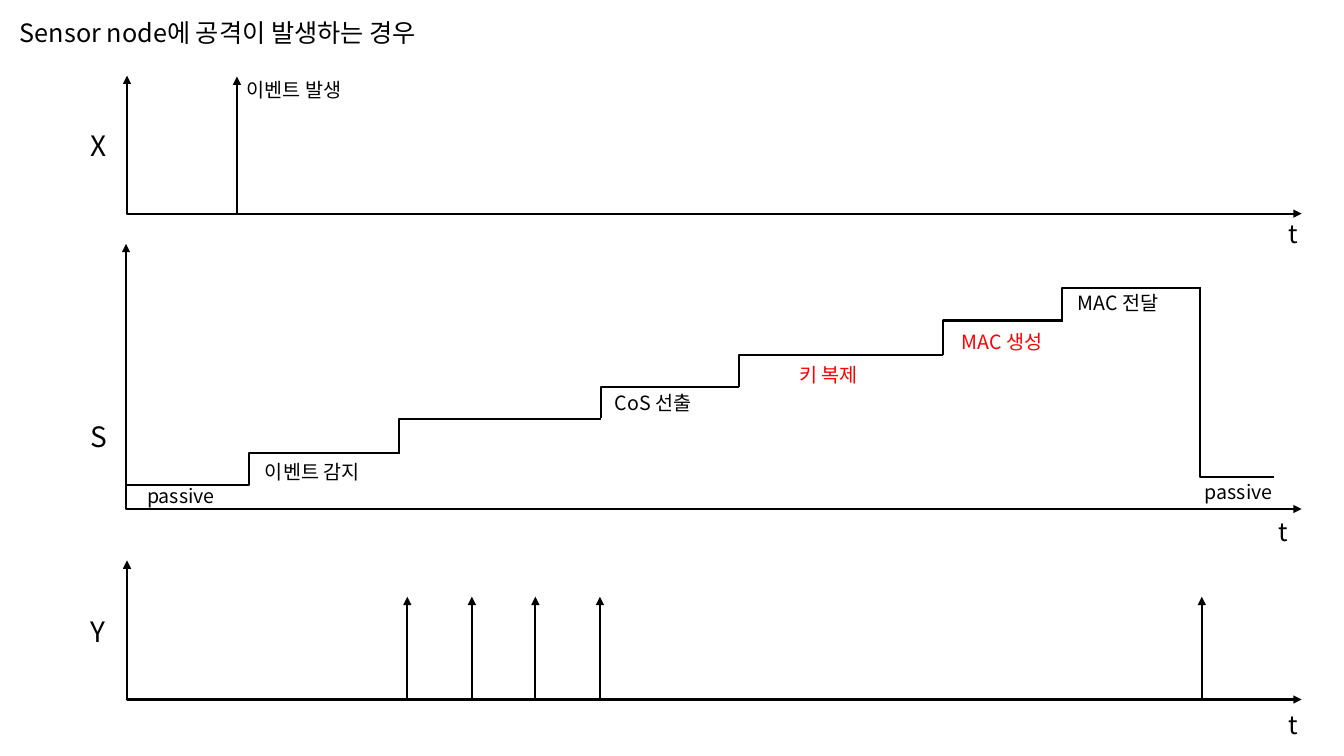
from dataclasses import dataclass

from lxml import etree
from pptx import Presentation
from pptx.dml.color import RGBColor
from pptx.enum.shapes import MSO_CONNECTOR
from pptx.enum.text import MSO_AUTO_SIZE
from pptx.oxml.ns import qn
from pptx.util import Emu, Pt

ELBOW = MSO_CONNECTOR.ELBOW
STRAIGHT = MSO_CONNECTOR.STRAIGHT
FIT = MSO_AUTO_SIZE.SHAPE_TO_FIT_TEXT
PX = 9144  # 100 px to the inch


@dataclass(frozen=True)
class Theme:
    font: str = "Noto Sans CJK KR"
    ink: str = "000000"
    alert: str = "FF0000"
    axis: int = 20
    title: int = 18
    note: int = 14
    line: float = 1.5


class Chart:
    def __init__(self, slide, theme):
        self.slide = slide
        self.theme = theme

    def text(self, words, x, y, w, h, size, color=None):
        box = self.slide.shapes.add_textbox(*(Emu(v * PX) for v in (x, y, w, h)))
        frame = box.text_frame
        frame.text = words
        frame.word_wrap = True
        frame.auto_size = FIT
        run = frame.paragraphs[0].runs[0]
        run.font.size = Pt(size)
        run.font.color.rgb = RGBColor.from_string(color or self.theme.ink)
        run.font.name = self.theme.font
        east = etree.SubElement(run.font._element, qn("a:ea"))
        east.set("typeface", self.theme.font)

    def note(self, words, x, y, w=173, color=None):
        self.text(words, x, y, w, 34, self.theme.note, color)

    def line(self, kind, x1, y1, x2, y2, ends=()):
        """Draw a connector with triangles at the named ends."""
        link = self.slide.shapes.add_connector(
            kind, *(Emu(v * PX) for v in (x1, y1, x2, y2)))
        link.line.color.rgb = RGBColor.from_string(self.theme.ink)
        link.line.width = Pt(self.theme.line)
        props = link._element.spPr
        for end in ends:
            etree.SubElement(props.find(qn("a:ln")), qn(end)).set("type", "triangle")
        etree.SubElement(props, qn("a:effectLst"))
        return props

    def elbow(self, x1, y1, x2, y2, bend=0, ends=()):
        """Draw an elbow that turns at bend, in 1/1000 of its width."""
        props = self.line(ELBOW, x1, y1, x2, y2, ends)
        shape = props.find(qn("a:prstGeom"))
        guides = shape.find(qn("a:avLst"))
        if guides is None:
            guides = etree.SubElement(shape, qn("a:avLst"))
        guide = etree.SubElement(guides, qn("a:gd"))
        guide.set("name", "adj1")
        guide.set("fmla", f"val {bend * 100}")

    def spike(self, x, base, top):
        self.line(STRAIGHT, x, base, x, top, ("a:tailEnd",))

    def axes(self, name, x, top, base, name_y, time_x, time_y):
        self.elbow(x, top, 1291, base, ends=("a:headEnd", "a:tailEnd"))
        self.text(name, 80, name_y, 45, 44, self.theme.axis)
        self.text("t", time_x, time_y, 45, 40, self.theme.title)


def main():
    deck = Presentation()
    deck.slide_width, deck.slide_height = Emu(1333 * PX), Emu(750 * PX)
    slide = deck.slides.add_slide(deck.slide_layouts[6])
    theme = Theme()
    chart = Chart(slide, theme)

    chart.text("Sensor node에 공격이 발생하는 경우", 10, 12, 484, 40, theme.title)
    for axis in (
        ("X", 126, 75, 212, 123, 1268, 212),
        ("S", 125, 242, 505, 411, 1258, 507),
        ("Y", 126, 556, 694, 605, 1268, 699),
    ):
        chart.axes(*axis)

    chart.spike(235, 212, 76)
    chart.note("이벤트 발생", 235, 72, 718)

    for step in (
        (126, 481, 397, 449, 446),
        (396, 449, 596, 416),
        (596, 415, 733, 384),
        (733, 384, 935, 352),
        (935, 352, 1054, 318),
        (1053, 317, 1189, 286),
        (1190, 285, 1264, 473),
    ):
        chart.elbow(*step)

    for x, y in ((136, 475), (1185, 471)):
        chart.note("passive", x, y, 125)
    for words, x, y, color in (
        ("이벤트 감지", 253, 451, theme.ink),
        ("CoS 선출", 600, 383, theme.ink),
        ("키 복제", 783, 355, theme.alert),
        ("MAC 생성", 944, 322, theme.alert),
        ("MAC 전달", 1059, 284, theme.ink),
    ):
        chart.note(words, x, y, color=color)

    for x in (404, 468, 531, 595, 1192):
        chart.spike(x, 694, 592)

    deck.save("out.pptx")


if __name__ == "__main__":
    main()
